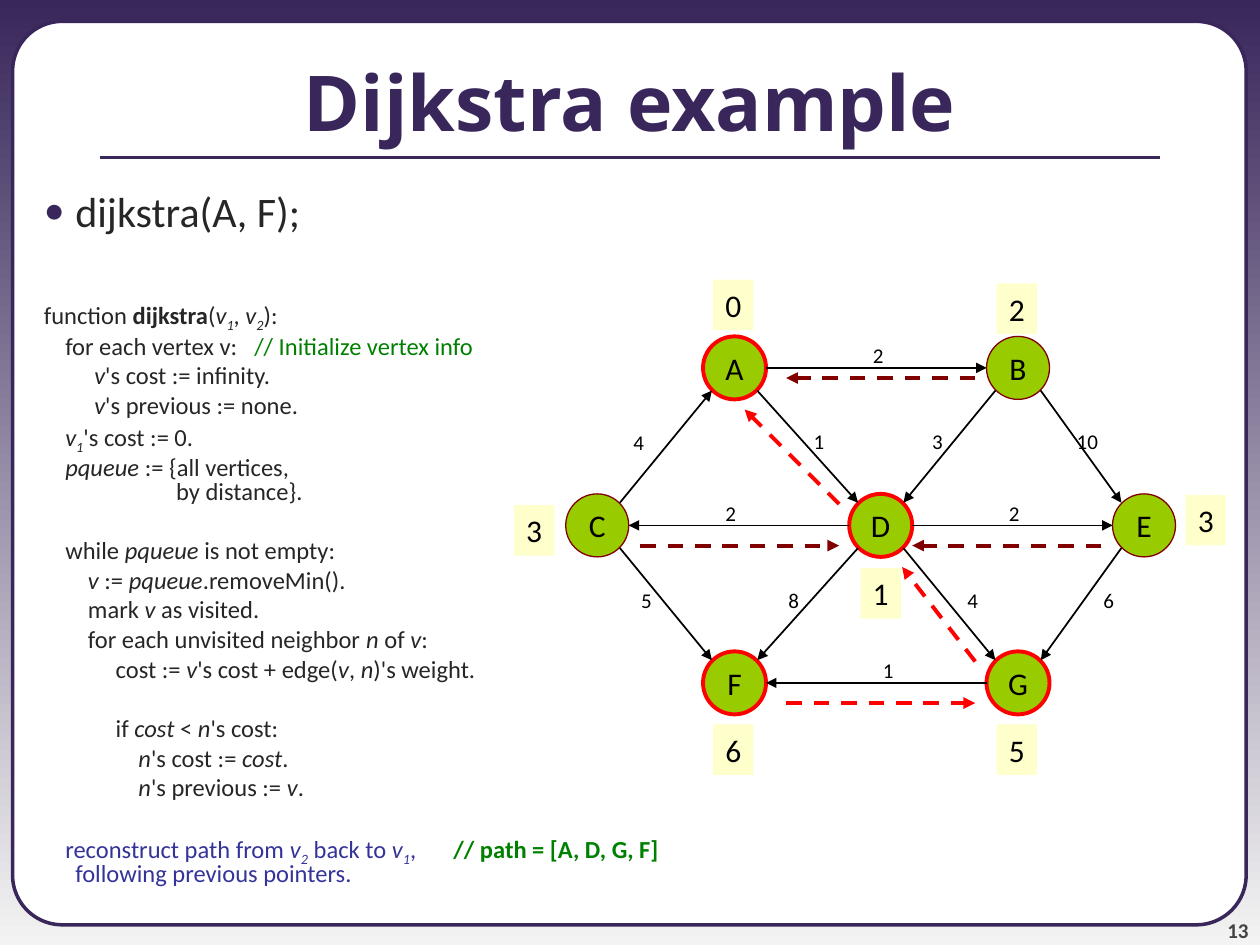
from dataclasses import dataclass

from lxml import etree
from pptx import Presentation
from pptx.dml.color import RGBColor
from pptx.enum.dml import MSO_LINE
from pptx.enum.shapes import MSO_CONNECTOR, MSO_SHAPE
from pptx.enum.text import MSO_ANCHOR, PP_ALIGN
from pptx.oxml.ns import qn
from pptx.util import Inches, Pt

ROUND_RECT, RECT, OVAL = MSO_SHAPE.ROUNDED_RECTANGLE, MSO_SHAPE.RECTANGLE, MSO_SHAPE.OVAL
STRAIGHT, DASH = MSO_CONNECTOR.STRAIGHT, MSO_LINE.DASH
TOP, MIDDLE, BOTTOM = MSO_ANCHOR.TOP, MSO_ANCHOR.MIDDLE, MSO_ANCHOR.BOTTOM
LEFT, CENTER, RIGHT = PP_ALIGN.LEFT, PP_ALIGN.CENTER, PP_ALIGN.RIGHT


@dataclass(frozen=True)
class Theme:
    purple: str = "39275B"
    pale: str = "F3F3F3"
    white: str = "FFFFFF"
    black: str = "000000"
    ink: str = "262626"
    gray: str = "424242"
    green: str = "008000"
    blue: str = "333399"
    node: str = "99CC00"
    tag: str = "FFFFCC"
    red: str = "FF0000"
    maroon: str = "800000"
    title_font: str = "Open Sans"
    font: str = "Calibri"
    title: int = 44
    bullet: int = 24
    label: int = 18
    code: int = 14
    small: int = 12


THEME = Theme()

# Graph: node centres, outline state, cost tags
RADIUS, DIAGONAL = 0.25, 0.18
NODES = {"A": (5.83, 2.92), "B": (8.08, 2.92), "C": (4.74, 4.17), "D": (6.99, 4.17),
         "E": (9.08, 4.17), "F": (5.83, 5.42), "G": (8.08, 5.42)}
ON_PATH = "ADGF"
# from, to, weight, label centre
EDGES = [("A", "B", "2", 6.97, 2.82), ("A", "D", "1", 6.5, 3.5),
         ("B", "D", "3", 7.44, 3.5), ("B", "E", "10", 8.63, 3.5),
         ("C", "A", "4", 5.07, 3.51), ("C", "F", "5", 5.13, 4.76),
         ("D", "C", "2", 5.8, 4.07), ("D", "E", "2", 8.05, 4.07),
         ("D", "F", "8", 6.3, 4.76), ("D", "G", "4", 7.72, 4.76),
         ("E", "G", "6", 8.8, 4.76), ("G", "F", "1", 7.05, 5.32)]
COSTS = [("0", 5.82, 2.42), ("2", 8.07, 2.45), ("3", 4.24, 4.21), ("3", 9.57, 4.13),
         ("1", 6.99, 4.71), ("6", 5.82, 5.95), ("5", 8.07, 5.95)]
BACK_POINTERS = [((6.66, 4), (5.91, 3.25), THEME.red), ((7.74, 3), (6.24, 3), THEME.maroon),
                 ((8.74, 4.33), (7.24, 4.33), THEME.maroon),
                 ((7.74, 5.25), (7.16, 4.5), THEME.red),
                 ((6.24, 5.58), (7.74, 5.58), THEME.red),
                 ((5.08, 4.33), (6.66, 4.33), THEME.maroon)]

# Pseudocode: margin, first-line indent, space before, tab stop, runs.
# Tildes enclose variables; an underscore starts a subscript.
TIGHT, GAP = 3.5, 20.5
BLUE, GREEN = {"color": THEME.blue}, {"color": THEME.green}
CODE = [
    (0.25, 0, 38.8, None, [("function ", {}), ("dijkstra", {"bold": True}),
                           ("(~v_1~, ~v_2~):", {})]),
    (0.42, 0, TIGHT, 1.5, [("for each vertex v:\t", {}), ("// Initialize vertex info", GREEN)]),
    (0.65, 0, TIGHT, None, [("~v~'s cost := infinity.", {})]),
    (0.65, 0, TIGHT, None, [("~v~'s previous := none.", {})]),
    (0.42, 0, TIGHT, None, [("~v_1~'s cost := 0.", {})]),
    (1.3, -0.88, TIGHT, None, [("~pqueue~ := {all vertices,\nby distance}.", {})]),
    (0.42, 0, GAP, None, [("while ~pqueue~ is not empty:", {})]),
    (0.6, 0, TIGHT, None, [("~v~ := ~pqueue~.removeMin().", {})]),
    (0.6, 0, TIGHT, None, [("mark ~v~ as visited.", {})]),
    (0.6, 0, TIGHT, None, [("for each unvisited neighbor ~n~ of ~v~:", {})]),
    (0.82, 0, TIGHT, None, [("cost := ~v~'s cost + edge(~v~, ~n~)'s weight.", {})]),
    (0.82, 0, GAP, None, [("if ~cost~ < ~n~'s cost:", {})]),
    (1, 0, TIGHT, None, [("~n~'s cost := ~cost~.", {})]),
    (1, 0, TIGHT, None, [("~n~'s previous := ~v~.", {})]),
    (0.5, -0.08, GAP, 3, [("reconstruct path from ~v_2~ back to ~v_1~,\t", BLUE),
                          ("// path = [A, D, G, F]", {**GREEN, "bold": True}),
                          ("\nfollowing previous pointers.", BLUE)]),
]


def rgb(color):
    return RGBColor.from_string(color)


class SlideBuilder:
    def __init__(self, slide, theme):
        self.s, self.theme = slide, theme

    def background(self, top, bottom):
        fill = self.s.background.fill
        fill.gradient()
        fill.gradient_angle = 270
        for stop, color, position in zip(fill.gradient_stops, (top, bottom), (0, 1)):
            stop.color.rgb, stop.position = rgb(color), position

    def run(self, p, text, size, color, font=None, baseline=None, **style):
        r = p.add_run()
        r.text = text
        r.font.color.rgb = rgb(color)
        style = {"name": font or self.theme.font, "size": Pt(size), **style}
        for key, value in style.items():
            setattr(r.font, key, value)
        if baseline:
            r.font._element.set("baseline", str(baseline))

    def frame(self, sp, anchor, inset=None, wrap=True):
        tf = sp.text_frame
        tf.word_wrap, tf.vertical_anchor = wrap, anchor
        if inset is not None:
            for side in ("left", "top", "right", "bottom"):
                setattr(tf, f"margin_{side}", Inches(inset))
        return tf

    def text(self, box, text, size, color, align=CENTER, anchor=MIDDLE, inset=None,
             wrap=True, **style):
        sp = self.s.shapes.add_textbox(*map(Inches, box))
        p = self.frame(sp, anchor, inset, wrap).paragraphs[0]
        p.alignment = align
        self.run(p, text, size, color, **style)

    def shape(self, kind, box, fill, line=None, width=1, text=None):
        sp = self.s.shapes.add_shape(kind, *map(Inches, box))
        sp.shadow.inherit = False
        sp.fill.solid()
        sp.fill.fore_color.rgb = rgb(fill)
        if line:
            sp.line.color.rgb, sp.line.width = rgb(line), Pt(width)
        else:
            sp.line.fill.background()
        if text:
            p = self.frame(sp, MIDDLE, wrap=False).paragraphs[0]
            p.alignment = CENTER
            self.run(p, text, self.theme.label, self.theme.black)
        return sp

    def line(self, start, end, color, width, dash=None, arrow=True):
        c = self.s.shapes.add_connector(STRAIGHT, *map(Inches, (*start, *end)))
        c.line.color.rgb, c.line.width = rgb(color), Pt(width)
        if dash:
            c.line.dash_style = dash
        if arrow:
            etree.SubElement(c.line._get_or_add_ln(), qn("a:tailEnd"), type="triangle")
        etree.SubElement(c._element.spPr, qn("a:effectLst"))

    def edge(self, a, b):
        """Join the rims of two nodes along a horizontal or a diagonal."""
        (ax, ay), (bx, by) = a, b
        sx, sy = (bx > ax) - (bx < ax), (by > ay) - (by < ay)
        d = DIAGONAL if sy else RADIUS
        self.line((ax + sx * d, ay + sy * d), (bx - sx * d, by - sy * d), self.theme.black, 1)

    def weight(self, text, x, y):
        """Centre an edge weight on a point, in a box that widens per digit."""
        width = 0.19 + 0.09 * len(text)
        self.text((x - width / 2, y - 0.15, width, 0.3), text, self.theme.small,
                  self.theme.black, inset=0, wrap=False)

    def paragraph(self, p, margin, indent, before, spacing=None):
        p.alignment, p.space_before = LEFT, Pt(before)
        if spacing:
            p.line_spacing = spacing
        pPr = p._p.get_or_add_pPr()
        pPr.set("marL", str(Inches(margin)))
        pPr.set("indent", str(Inches(indent)))
        return pPr

    def code_runs(self, p, markup, color=None, **style):
        color, size = color or self.theme.ink, self.theme.code
        for i, part in enumerate(markup.split("~")):
            if i % 2:
                name, _, sub = part.partition("_")
                self.run(p, name, size, color, italic=True, **style)
                if sub:
                    self.run(p, sub, size, color, italic=True, baseline=-25000, **style)
                continue
            for j, piece in enumerate(part.split("\n")):
                if j:
                    p.add_line_break()
                if piece:
                    self.run(p, piece, size, color, **style)

    def body(self, box, bullet, code):
        t = self.theme
        tf = self.frame(self.s.shapes.add_textbox(*map(Inches, box)), TOP)
        p = tf.paragraphs[0]
        pPr = self.paragraph(p, 0.5, -0.25, 6)
        clr = etree.SubElement(pPr, qn("a:buClr"))
        etree.SubElement(clr, qn("a:srgbClr"), val=t.purple)
        etree.SubElement(pPr, qn("a:buFont"), typeface=t.font)
        etree.SubElement(pPr, qn("a:buChar"), char="•")
        self.run(p, bullet, t.bullet, t.ink)
        for margin, indent, before, tab, runs in code:
            p = tf.add_paragraph()
            pPr = self.paragraph(p, margin, indent, before, 0.8)
            if tab:
                tabs = etree.SubElement(pPr, qn("a:tabLst"))
                etree.SubElement(tabs, qn("a:tab"), pos=str(Inches(tab)), algn="l")
            for markup, style in runs:
                self.code_runs(p, markup, **style)


def main():
    prs = Presentation()
    prs.slide_width, prs.slide_height = Inches(10), Inches(7.5)
    t = THEME
    b = SlideBuilder(prs.slides.add_slide(prs.slide_layouts[6]), t)

    # Panel, page number and title
    b.background(t.purple, t.pale)
    panel = b.shape(ROUND_RECT, (0.1, 0.17, 9.79, 7.17), t.white, t.purple, 2)
    panel.adjustments[0] = 0.055
    b.text((9.08, 7.08, 0.83, 0.4), "13", t.small, t.gray, RIGHT, BOTTOM, inset=0, bold=True)
    b.line((0.79, 1.25), (9.21, 1.25), t.purple, 2.25, arrow=False)
    b.text((0, 0.17, 10, 1.25), "Dijkstra example", t.title, t.purple,
           font=t.title_font, bold=True)

    # Pseudocode
    b.body((0, 1.42, 10, 6.08), "dijkstra(A, F);", CODE)

    # Graph
    for name, (x, y) in NODES.items():
        line, width = (t.red, 2.25) if name in ON_PATH else (t.maroon, 0.75)
        b.shape(OVAL, (x - RADIUS, y - RADIUS, 2 * RADIUS, 2 * RADIUS), t.node, line, width, name)
    for start, end, weight, x, y in EDGES:
        b.edge(NODES[start], NODES[end])
        b.weight(weight, x, y)
    for cost, x, y in COSTS:
        b.shape(RECT, (x - 0.16, y - 0.2, 0.32, 0.4), t.tag, text=cost)
    for start, end, color in BACK_POINTERS:
        b.line(start, end, color, 2.25, DASH)

    prs.save("out.pptx")


if __name__ == "__main__":
    main()
